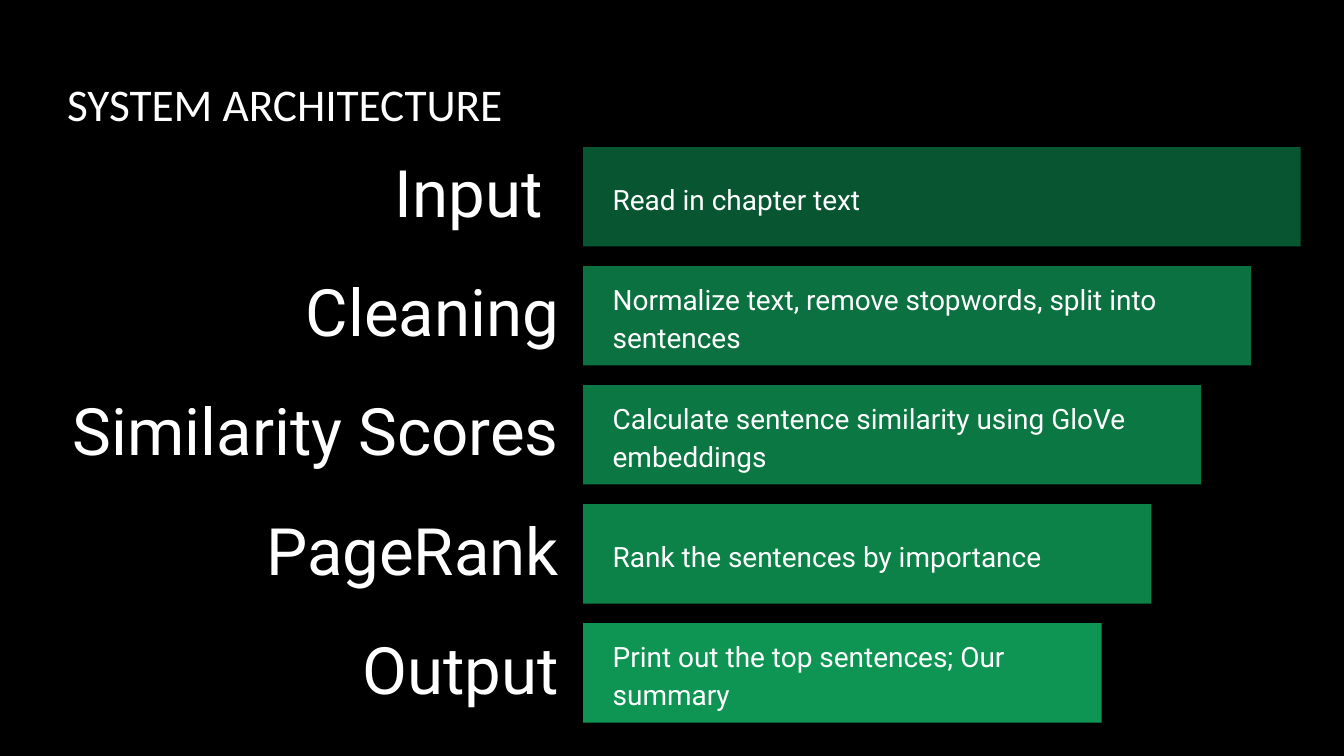
from pptx import Presentation
from pptx.dml.color import RGBColor
from pptx.enum import shapes, text
from pptx.util import Cm, Pt

WHITE = "FFFFFF"

# Layout in centimetres
BAR_LEFT, BAR_TOP, BAR_HEIGHT = 11.02, 2.78, 1.88
BAR_WIDTH, BAR_SHRINK, ROW_PITCH = 13.56, 0.94, 2.25
LABEL_RIGHT, LABEL_HEIGHT = 10.82, 1.6
DETAIL_LEFT, DETAIL_HEIGHT = 11.33, 0.84

# Label, label width, bar colour, detail, detail width
STAGES = [
    ("Input ", 5.89, "085631", "Read in chapter text", 12.37),
    ("Cleaning", 6.71, "0B7140",
     "Normalize text, remove stopwords, split into sentences", 11.35),
    ("Similarity Scores", 10.01, "0B7743",
     "Calculate sentence similarity using GloVe embeddings", 13.13),
    ("PageRank", 6.58, "0C8148", "Rank the sentences by importance", 10.01),
    ("Output", 4.6, "0E9453", "Print out the top sentences; Our summary", 9.09),
]

TITLE_FONT = {"name": "Calibri", "size": Pt(24.3)}
LABEL_FONT = {"name": "Roboto", "size": Pt(35)}
DETAIL_FONT = {"name": "Roboto", "size": Pt(15)}
LABEL_PARAGRAPH = {"alignment": text.PP_ALIGN.RIGHT, "line_spacing": 0.9}
DETAIL_PARAGRAPH = {"alignment": text.PP_ALIGN.LEFT, "line_spacing": 1.15}


def color(value):
    return RGBColor.from_string(value)


def set_all(target, values):
    for name, value in values.items():
        setattr(target, name, value)


def add_text(slide, words, left, top, width, height, font, paragraph_format,
             anchor=text.MSO_ANCHOR.MIDDLE, inset=0.13):
    box = slide.shapes.add_textbox(Cm(left), Cm(top), Cm(width), Cm(height))
    set_all(box.text_frame, {
        "word_wrap": True, "vertical_anchor": anchor,
        "margin_left": Cm(0.25), "margin_right": Cm(0.25),
        "margin_top": Cm(inset), "margin_bottom": Cm(inset),
    })
    paragraph = box.text_frame.paragraphs[0]
    set_all(paragraph, paragraph_format)
    run = paragraph.add_run()
    run.text = words
    set_all(run.font, font)
    run.font.color.rgb = color(WHITE)


def add_bar(slide, left, top, width, height, fill):
    bar = slide.shapes.add_shape(shapes.MSO_SHAPE.RECTANGLE,
                                 Cm(left), Cm(top), Cm(width), Cm(height))
    bar.shadow.inherit = False
    bar.fill.solid()
    bar.fill.fore_color.rgb = color(fill)
    bar.line.fill.background()


def add_stage(slide, index, label, label_width, fill, detail, detail_width):
    top = BAR_TOP + index * ROW_PITCH
    middle = top + BAR_HEIGHT / 2
    add_text(slide, label, LABEL_RIGHT - label_width, middle - LABEL_HEIGHT / 2,
             label_width, LABEL_HEIGHT, LABEL_FONT, LABEL_PARAGRAPH)
    add_bar(slide, BAR_LEFT, top, BAR_WIDTH - index * BAR_SHRINK, BAR_HEIGHT, fill)
    add_text(slide, detail, DETAIL_LEFT, middle - DETAIL_HEIGHT / 2,
             detail_width, DETAIL_HEIGHT, DETAIL_FONT, DETAIL_PARAGRAPH)


def main():
    presentation = Presentation()
    presentation.slide_width, presentation.slide_height = Cm(25.4), Cm(14.29)
    slide = presentation.slides.add_slide(presentation.slide_layouts[6])

    # Background
    slide.background.fill.solid()
    slide.background.fill.fore_color.rgb = color("000000")

    # Title
    add_text(slide, "SYSTEM ARCHITECTURE", 1.02, 1.19, 20.83, 1.35, TITLE_FONT,
             {}, text.MSO_ANCHOR.TOP, 0.25)

    # Pipeline stages
    for index, stage in enumerate(STAGES):
        add_stage(slide, index, *stage)

    presentation.save("out.pptx")


if __name__ == "__main__":
    main()
